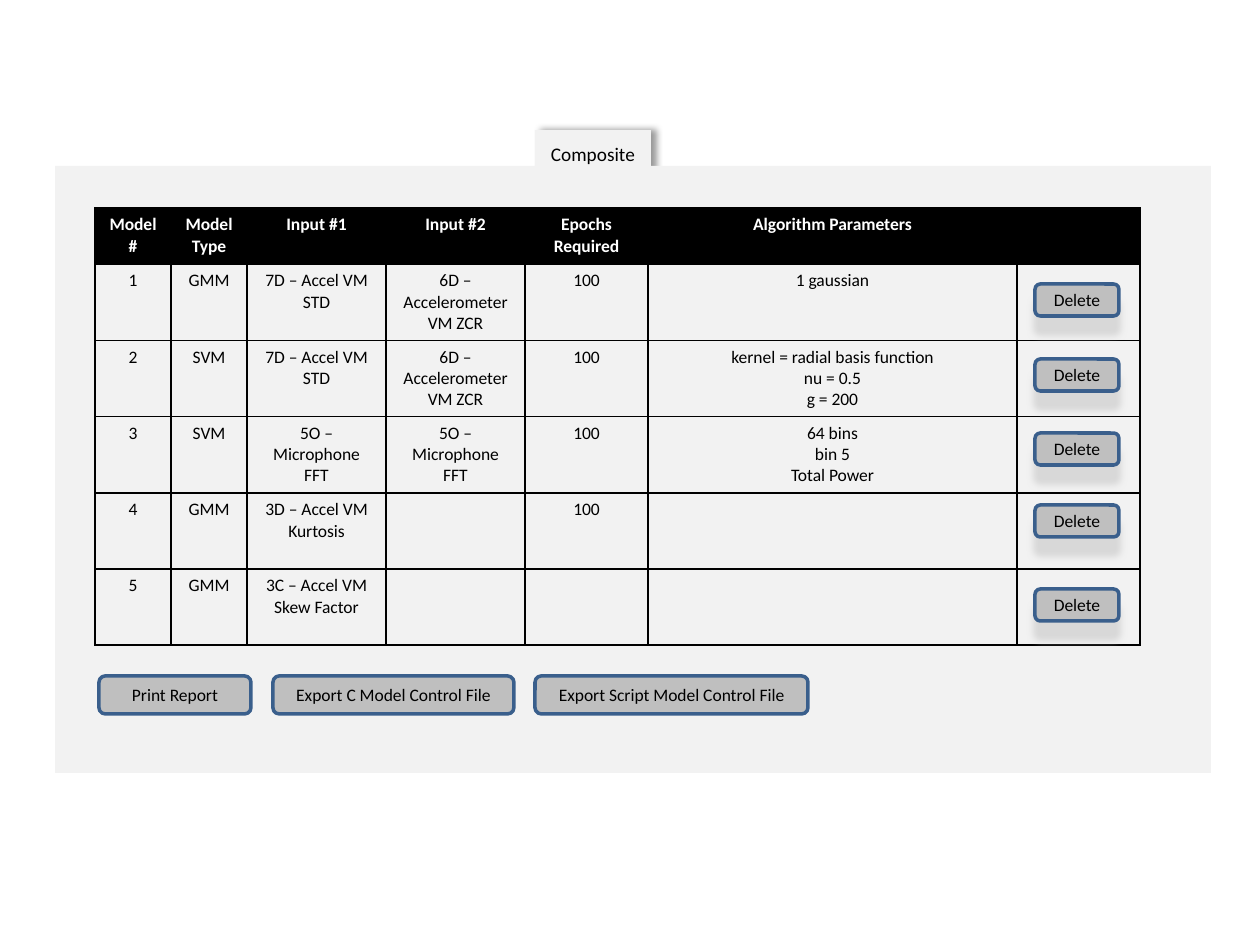
from lxml.etree import SubElement
from pptx import Presentation
from pptx.dml.color import RGBColor
from pptx.enum.shapes import MSO_SHAPE
from pptx.enum.text import MSO_ANCHOR, PP_ALIGN
from pptx.oxml import parse_xml
from pptx.oxml.ns import nsdecls, qn
from pptx.util import Emu, Pt

PX_PER_INCH = 126
PANEL, BUTTON, BUTTON_LINE = "F2F2F2", "BFBFBF", "3A5F8C"
BLACK, WHITE = "000000", "FFFFFF"

COLUMN_WIDTHS = [76, 76, 139, 139, 123, 369, 123]
HEADER_HEIGHT, ROW_HEIGHT = 56, 76
MODELS = [
    ["Model #", "Model Type", "Input #1", "Input #2", "Epochs Required",
     "Algorithm Parameters", ""],
    ["1", "GMM", "7D – Accel VM STD", "6D – Accelerometer VM ZCR", "100",
     "1 gaussian", ""],
    ["2", "SVM", "7D – Accel VM STD", "6D – Accelerometer VM ZCR", "100",
     "kernel = radial basis function\nnu = 0.5\ng = 200", ""],
    ["3", "SVM", "5O – Microphone FFT", "5O – Microphone FFT", "100",
     "64 bins\nbin 5\nTotal Power", ""],
    ["4", "GMM", "3D – Accel VM Kurtosis", "", "100", "", ""],
    ["5", "GMM", "3C – Accel VM Skew Factor", "", "", "", ""],
]
DELETE_TOPS = [76, 151, 225, 297, 381]
REPORT_BUTTONS = [("Print Report", 0, 152),
                  ("Export C Model Control File", 174, 241),
                  ("Export Script Model Control File", 436, 273)]


def px(length):
    return Emu(round(length * 914400 / PX_PER_INCH))


def color(value):
    return RGBColor.from_string(value)


def write(frame, text, size, text_color=BLACK, bold=False):
    frame.text = text
    for para in frame.paragraphs:
        para.alignment = PP_ALIGN.CENTER
        para.font.size = Pt(size)
        for span in para.runs:
            span.font.name = "Calibri"
            span.font.size = Pt(size)
            span.font.bold = bold
            span.font.color.rgb = color(text_color)


def add_box(shapes, kind, box, fill):
    shape = shapes.add_shape(kind, *map(px, box))
    shape.shadow.inherit = False
    shape.fill.solid()
    shape.fill.fore_color.rgb = color(fill)
    shape.line.fill.background()
    return shape


def add_shadow(shape, shadow_color, opacity, blur, distance, degrees):
    """Give the shape an outer shadow: opacity in percent, lengths in points."""
    effects = shape._element.spPr.find(qn("a:effectLst"))
    shadow = SubElement(effects, qn("a:outerShdw"), blurRad=str(Pt(blur)),
                        dist=str(Pt(distance)), dir=str(degrees * 60000),
                        algn="tl", rotWithShape="0")
    tint = SubElement(shadow, qn("a:srgbClr"), val=shadow_color)
    SubElement(tint, qn("a:alpha"), val=str(opacity * 1000))


def add_button(page, box, text):
    button = add_box(page.shapes, MSO_SHAPE.ROUNDED_RECTANGLE, box, BUTTON)
    button.line.color.rgb = color(BUTTON_LINE)
    button.line.width = Pt(2)
    button.text_frame.vertical_anchor = MSO_ANCHOR.MIDDLE
    write(button.text_frame, text, 10)
    return button


def add_tabbed_panel(page, box):
    left, top, width, height = box
    group = page.shapes.add_group_shape()
    tab = add_box(group.shapes, MSO_SHAPE.RECTANGLE,
                  (left + 480, top - 36, 116, 42), PANEL)
    add_shadow(tab, BLACK, 40, 4, 3, 0)
    tab.text_frame.vertical_anchor = MSO_ANCHOR.BOTTOM
    write(tab.text_frame, "Composite", 11)
    add_box(group.shapes, MSO_SHAPE.RECTANGLE, box, PANEL)


def add_borders(cell):
    properties = cell._tc.get_or_add_tcPr()
    for index, side in enumerate(("lnL", "lnR", "lnT", "lnB")):
        properties.insert(index, parse_xml(
            f'<a:{side} {nsdecls("a")} w="{Pt(1)}"><a:solidFill>'
            f'<a:srgbClr val="{BLACK}"/></a:solidFill></a:{side}>'))


def add_model_table(page, left, top):
    """Place the table of models with a Delete button in each model's row."""
    heights = [HEADER_HEIGHT] + [ROW_HEIGHT] * (len(MODELS) - 1)
    table = page.shapes.add_table(
        len(MODELS), len(COLUMN_WIDTHS), px(left), px(top),
        px(sum(COLUMN_WIDTHS)), px(sum(heights))).table
    for column, width in zip(table.columns, COLUMN_WIDTHS):
        column.width = px(width)
    for row_index, (row, height, texts) in enumerate(
            zip(table.rows, heights, MODELS)):
        row.height = px(height)
        header = row_index == 0
        for cell, text in zip(row.cells, texts):
            cell.fill.solid()
            cell.fill.fore_color.rgb = color(BLACK if header else PANEL)
            add_borders(cell)
            write(cell.text_frame, text, 10, WHITE if header else BLACK, header)
    for offset in DELETE_TOPS:
        button = add_button(page, (left + 940, top + offset, 84, 32), "Delete")
        add_shadow(button, "D9D9D9", 100, 4, 10, 90)


def add_report_buttons(page, left, top):
    for text, offset, width in REPORT_BUTTONS:
        add_button(page, (left + offset, top, width, 38), text)


def main():
    deck = Presentation()
    deck.slide_width, deck.slide_height = px(1260), px(945)
    page = deck.slides.add_slide(deck.slide_layouts[6])
    add_tabbed_panel(page, (55, 166, 1156, 607))
    add_model_table(page, 95, 208)
    add_report_buttons(page, 99, 676)
    deck.save("out.pptx")


if __name__ == "__main__":
    main()
